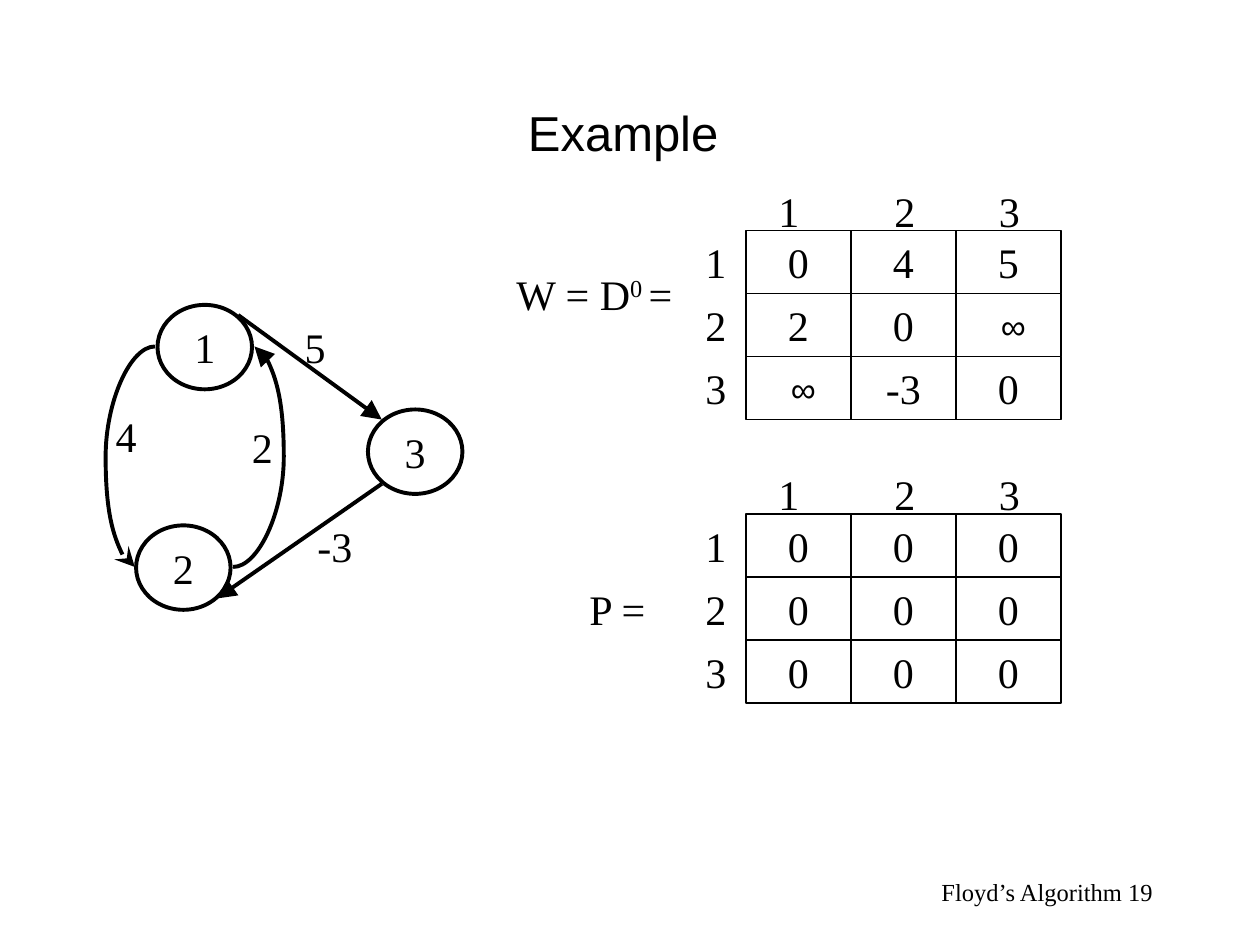
from lxml import etree
from pptx import Presentation
from pptx.dml.color import RGBColor
from pptx.enum.shapes import MSO_CONNECTOR as CXN, MSO_SHAPE as SHAPE
from pptx.enum.text import MSO_ANCHOR as ANCHOR, MSO_AUTO_SIZE as AUTO, PP_ALIGN as ALIGN
from pptx.oxml.ns import qn
from pptx.util import Inches, Pt

COLORS = {"ink": "000000"}
INK = RGBColor.from_string(COLORS["ink"])
SERIF = "Times New Roman"

prs = Presentation()
prs.slide_width, prs.slide_height = Inches(10), Inches(7.5)
s = prs.slides.add_slide(prs.slide_layouts[6])


def label(text, x, y, w=0.37, h=0.5, size=24, font=SERIF, align=ALIGN.LEFT):
    tf = s.shapes.add_textbox(Inches(x), Inches(y), Inches(w), Inches(h)).text_frame
    tf.word_wrap = False
    tf.auto_size = AUTO.SHAPE_TO_FIT_TEXT
    tf.text = text
    p = tf.paragraphs[0]
    p.alignment = align
    p.font.size, p.font.name = Pt(size), font
    p.font.color.rgb = INK
    return tf


def outlined(kind, text, x, y, w, h, line, size=24, font=SERIF):
    sp = s.shapes.add_shape(kind, Inches(x), Inches(y), Inches(w), Inches(h))
    sp.shadow.inherit = False
    sp.fill.background()
    sp.line.color.rgb = INK
    sp.line.width = Pt(line)
    tf = sp.text_frame
    tf.word_wrap = False
    tf.vertical_anchor = ANCHOR.MIDDLE
    tf.text = text
    p = tf.paragraphs[0]
    p.alignment = ALIGN.CENTER
    p.font.size, p.font.name = Pt(size), font
    p.font.color.rgb = INK


footer = label("Floyd’s Algorithm 19", 7.17, 6.83, 2.08, 0.5, 14, align=ALIGN.RIGHT)
title = label("Example ", 0.75, 0.67, 8.5, 0.75, 28, "Arial", ALIGN.CENTER)
title.word_wrap = True
for tf in (footer, title):
    tf.auto_size = AUTO.NONE
    tf.vertical_anchor = ANCHOR.MIDDLE

p = label("W = D", 4, 2.08, 1.47).paragraphs[0]
for text, baseline in [("0 ", "30000"), ("=", "0")]:
    r = p.add_run()
    r.text = text
    r.font._element.set("baseline", baseline)
label("P =", 4.58, 4.58, 0.66)

CELL_W, CELL_H = 2.5 / 3, 0.5
matrices = [
    (1.83, [["0", "4", "5"], ["2", "0", " ∞"], [" ∞", "-3", "0"]]),
    (4.08, [["0"] * 3] * 3),
]
for top, rows in matrices:
    for i, row in enumerate(rows):
        for j, value in enumerate(row):
            size, font = (20, "Arial") if "∞" in value else (24, SERIF)
            outlined(SHAPE.RECTANGLE, value, 5.92 + j * CELL_W, top + i * CELL_H,
                     CELL_W, CELL_H, 1, size, font)
    for n, x in enumerate([6.08, 7, 7.83]):
        label(str(n + 1), x, top - 0.41)
        label(str(n + 1), 5.5, top + n * CELL_H)

for name, x, y in [("1", 1.25, 2.42), ("2", 1.08, 4.17), ("3", 2.92, 3.25)]:
    outlined(SHAPE.OVAL, name, x, y, 0.75, 0.67, 2.25)

edges = [
    (CXN.STRAIGHT, 1.89, 2.5, 3.03, 3.33, "tailEnd", "triangle", None),
    (CXN.STRAIGHT, 3.03, 3.84, 1.72, 4.75, "tailEnd", "triangle", None),
    (CXN.CURVE, 1.07, 4.5, 1.23, 2.75, "headEnd", "stealth", -145000),
    (CXN.CURVE, 1.85, 4.5, 2.02, 2.75, "tailEnd", "triangle", 237000),
]
for kind, x1, y1, x2, y2, end, arrow, bend in edges:
    edge = s.shapes.add_connector(kind, Inches(x1), Inches(y1), Inches(x2), Inches(y2))
    edge.line.color.rgb = INK
    edge.line.width = Pt(2.25)
    spPr = edge._element.spPr
    etree.SubElement(spPr.find(qn("a:ln")), qn(f"a:{end}"), type=arrow, w="lg", len="lg")
    etree.SubElement(spPr, qn("a:effectLst"))
    if bend:
        guides = spPr.find(qn("a:prstGeom")).find(qn("a:avLst"))
        etree.SubElement(guides, qn("a:gd"), name="adj1", fmla=f"val {bend}")

for weight, x, y, w in [("5", 2.32, 2.5, 0.37), ("-3", 2.42, 4.08, 0.48),
                        ("2", 1.9, 3.3, 0.37), ("4", 0.82, 3.21, 0.37)]:
    label(weight, x, y, w)

prs.save("out.pptx")
